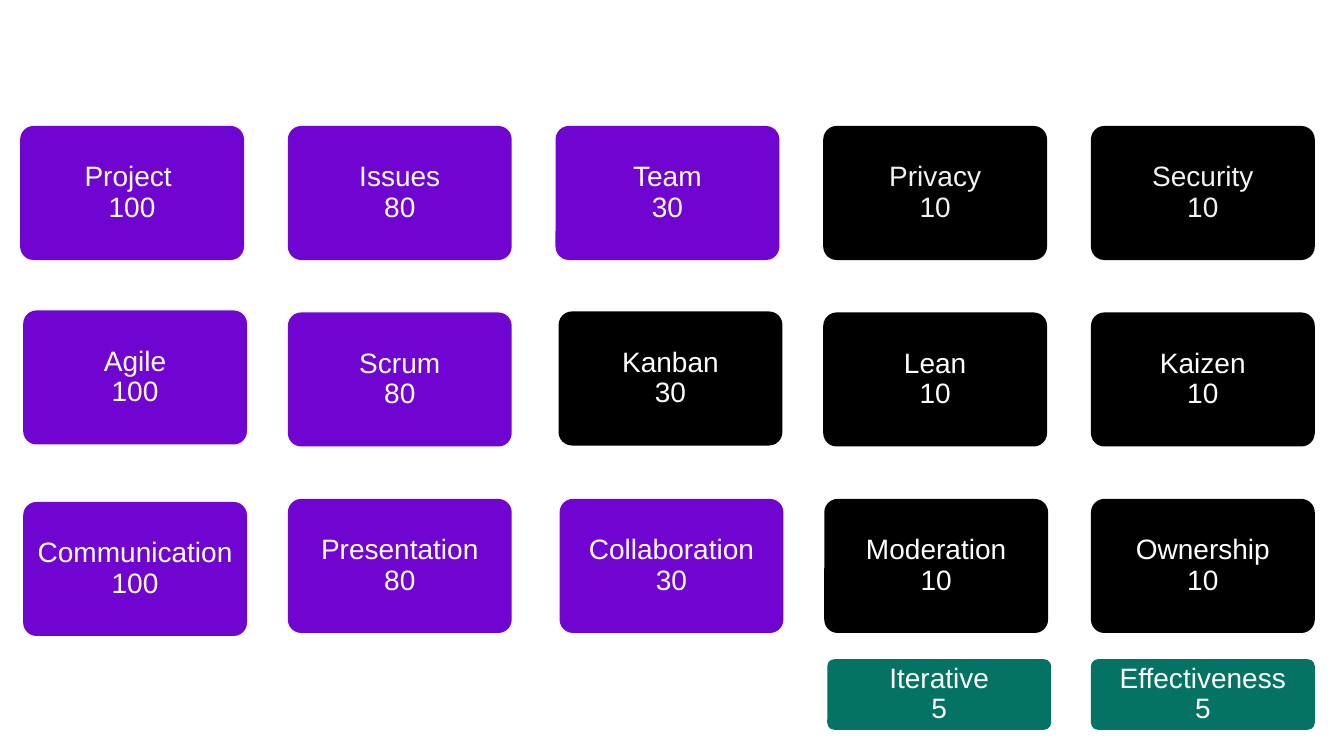
from dataclasses import dataclass

from pptx import Presentation
from pptx import util as u
from pptx.dml.color import RGBColor
from pptx.enum import shapes, text

PURPLE = RGBColor(0x70, 0x05, 0xD1)
BLACK = RGBColor(0x00, 0x00, 0x00)
GREEN = RGBColor(0x04, 0x73, 0x64)
WHITE = RGBColor(0xFF, 0xFF, 0xFF)
PALE = RGBColor(0xF2, 0xF2, 0xF2)

# Grid in inches
FIRST_LEFT, LAST_LEFT = 0.2, 10.82
COLUMN_STEP = (LAST_LEFT - FIRST_LEFT) / 4
ROW_TOPS = (1.25, 3.1, 4.95, 6.54)
CARD_WIDTH, CARD_HEIGHT, LOW_HEIGHT = 2.22, 1.33, 0.7


@dataclass(frozen=True)
class Card:
    row: int
    column: int
    topic: str
    score: int
    fill: RGBColor
    ink: RGBColor = WHITE
    height: float = CARD_HEIGHT
    shift_x: float = 0  # small offsets from the grid
    shift_y: float = 0


CARDS = (
    Card(0, 0, "Project ", 100, PURPLE),
    Card(0, 1, "Issues", 80, PURPLE),
    Card(0, 2, "Team", 30, PURPLE),
    Card(0, 3, "Privacy", 10, BLACK, PALE),
    Card(0, 4, "Security", 10, BLACK, PALE),
    Card(1, 0, "Agile", 100, PURPLE, shift_x=0.03, shift_y=-0.02),
    Card(1, 1, "Scrum", 80, PURPLE),
    Card(1, 2, "Kanban", 30, BLACK, shift_x=0.03, shift_y=-0.01),
    Card(1, 3, "Lean", 10, BLACK),
    Card(1, 4, "Kaizen", 10, BLACK),
    Card(2, 0, "Communication", 100, PURPLE, shift_x=0.03, shift_y=0.03),
    Card(2, 1, "Presentation", 80, PURPLE),
    Card(2, 2, "Collaboration", 30, PURPLE, shift_x=0.04),
    Card(2, 3, "Moderation", 10, BLACK, shift_x=0.01),
    Card(2, 4, "Ownership", 10, BLACK),
    Card(3, 3, "Iterative", 5, GREEN, height=LOW_HEIGHT, shift_x=0.04),
    Card(3, 4, "Effectiveness", 5, GREEN, height=LOW_HEIGHT),
)


def write_lines(frame, lines: list[str], *, color: RGBColor, size: float = 20,
                font: str = "Arial", spacing: float = 0.9, inset: float = 0.1) -> None:
    frame.word_wrap = True
    frame.vertical_anchor = text.MSO_ANCHOR.MIDDLE
    frame.margin_left = frame.margin_right = u.Inches(inset)
    frame.margin_top = frame.margin_bottom = u.Inches(inset)
    for index, line in enumerate(lines):
        paragraph = frame.paragraphs[0] if index == 0 else frame.add_paragraph()
        paragraph.alignment = text.PP_ALIGN.CENTER
        paragraph.line_spacing = spacing
        run = paragraph.add_run()
        run.text = line
        run.font.name = font
        run.font.size = u.Pt(size)
        run.font.color.rgb = color


def draw_card(slide, card: Card) -> None:
    tile = slide.shapes.add_shape(
        shapes.MSO_SHAPE.ROUNDED_RECTANGLE,
        u.Inches(FIRST_LEFT + card.column * COLUMN_STEP + card.shift_x),
        u.Inches(ROW_TOPS[card.row] + card.shift_y),
        u.Inches(CARD_WIDTH), u.Inches(card.height))
    tile.adjustments[0] = 0.1
    tile.shadow.inherit = False
    tile.fill.solid()
    tile.fill.fore_color.rgb = card.fill
    tile.line.fill.background()
    write_lines(tile.text_frame, [card.topic, str(card.score)], color=card.ink)


def main() -> None:
    deck = Presentation()
    deck.slide_width, deck.slide_height = u.Inches(13.33), u.Inches(7.5)
    board = deck.slides.add_slide(deck.slide_layouts[6])

    # Topic cards
    for card in CARDS:
        draw_card(board, card)

    deck.save("out.pptx")


if __name__ == "__main__":
    main()
